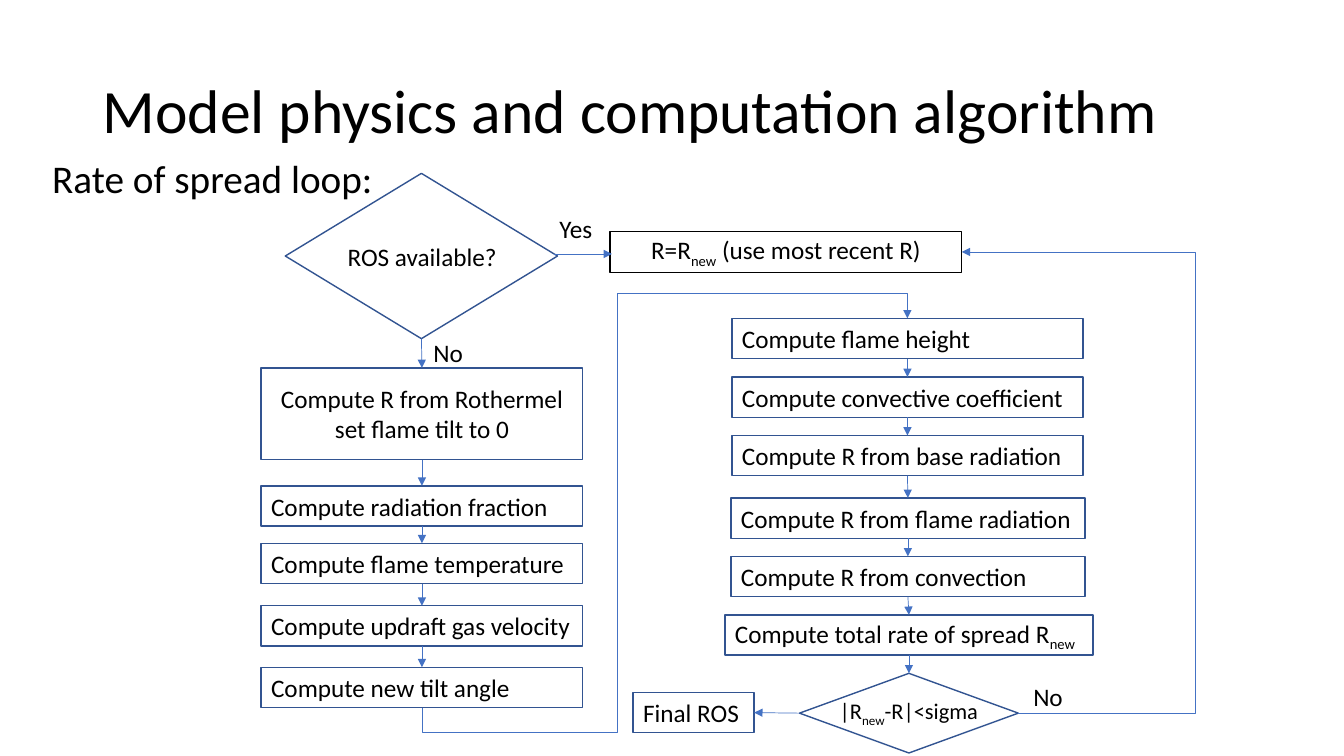
from lxml import etree
from pptx import Presentation
from pptx import util as u
from pptx.dml.color import RGBColor
from pptx.enum import shapes, text
from pptx.oxml.ns import qn

PX = 9144  # 100 px to the inch
FONT = "Calibri"
BLACK, NAVY, BLUE = "000000", "325491", "4472C4"
TOP, LEFT, BOTTOM, RIGHT = range(4)
ROW = 40  # height of a one-line step


def px(n):
    return u.Emu(int(n * PX))


def rgb(hex_color):
    return RGBColor.from_string(hex_color)


def write(sp, words, size=18, align=text.PP_ALIGN.LEFT, anchor=text.MSO_ANCHOR.MIDDLE):
    """Fill a shape with text; parts between underscores are subscripts."""
    tf = sp.text_frame
    tf.word_wrap = True
    tf.vertical_anchor = anchor
    p = tf.paragraphs[0]
    p.alignment = align
    for i, part in enumerate(words.split("_")):
        if not part:
            continue
        r = p.add_run()
        r.text = part
        r.font.size, r.font.name = u.Pt(size), FONT
        r.font.color.rgb = rgb(BLACK)
        if i % 2:
            r.font._element.set("baseline", "-25000")
    return p


def add_text(s, box, words, size, anchor=text.MSO_ANCHOR.TOP):
    sp = s.shapes.add_textbox(*map(px, box))
    write(sp, words, size, anchor=anchor).line_spacing = 0.9


def add_label(s, box, words, size=18):
    sp = s.shapes.add_textbox(*map(px, box))
    write(sp, words, size, anchor=text.MSO_ANCHOR.TOP)
    sp.text_frame.word_wrap = False
    sp.text_frame.auto_size = text.MSO_AUTO_SIZE.SHAPE_TO_FIT_TEXT


def add_node(s, kind, box, color=NAVY, weight=1):
    sp = s.shapes.add_shape(kind, *map(px, box))
    sp.shadow.inherit = False
    sp.fill.background()
    sp.line.color.rgb = rgb(color)
    sp.line.width = u.Pt(weight)
    return sp


def add_step(s, box, words, align=text.PP_ALIGN.LEFT, color=NAVY, weight=1):
    sp = add_node(s, shapes.MSO_SHAPE.RECTANGLE, box, color, weight)
    write(sp, words, align=align)
    return sp


def add_decision(s, box, label_box, words, size):
    sp = add_node(s, shapes.MSO_SHAPE.DIAMOND, box)
    add_label(s, label_box, words, size)
    return sp


def add_arrow(s, kind, x1, y1, x2, y2):
    c = s.shapes.add_connector(kind, px(x1), px(y1), px(x2), px(y2))
    c.line.color.rgb = rgb(BLUE)
    c.line.width = u.Pt(0.5)
    etree.SubElement(c.line._get_or_add_ln(), qn("a:tailEnd"), type="triangle")
    etree.SubElement(c._element.spPr, qn("a:effectLst"))
    return c


def join(s, start, start_side, end, end_side, kind=shapes.MSO_CONNECTOR.STRAIGHT):
    c = add_arrow(s, kind, 0, 0, 0, 0)
    c.begin_connect(start, start_side)
    c.end_connect(end, end_side)
    return c


def bend(c, preset, *adjustments):
    geom = c._element.spPr.find(qn("a:prstGeom"))
    geom.set("prst", preset)
    guides = geom.find(qn("a:avLst"))
    if guides is None:
        guides = etree.SubElement(geom, qn("a:avLst"))
    for i, value in enumerate(adjustments, 1):
        name = f"adj{i}" if len(adjustments) > 1 else "adj"
        name = "adj1" if preset == "bentConnector3" else name
        etree.SubElement(guides, qn("a:gd"), name=name, fmla=f"val {round(value * 100000)}")


def add_column(s, steps):
    """Place steps from top to bottom, each joined to the one above."""
    nodes = [add_step(s, *step) for step in steps]
    for upper, lower in zip(nodes, nodes[1:]):
        join(s, upper, BOTTOM, lower, TOP)
    return nodes


def add_heading(s):
    add_text(s, (92, 40, 1150, 145), "Model physics and computation algorithm", 44,
             text.MSO_ANCHOR.MIDDLE)
    add_text(s, (42, 153, 370, 476), "Rate of spread loop:", 28)


def add_start(s, x, y):
    """Opening decision and the box that its Yes branch leads to."""
    available = add_decision(s, (x, y, 270, 164), (x + 52, y + 62, 170, ROW),
                             "ROS available?", 18)
    add_label(s, (x + 137, y + 158, 50, ROW), "No")
    add_label(s, (x + 262, y + 35, 53, ROW), "Yes")
    recent = add_step(s, (x + 322, y + 58, 349, ROW), "R=R_new_ (use most recent R)",
                      text.PP_ALIGN.CENTER, BLACK, 0.75)
    add_arrow(s, shapes.MSO_CONNECTOR.STRAIGHT, x + 266, y + 80, x + 324, y + 80)
    return available, recent


def add_left_column(s, x, y, w):
    return add_column(s, [
        ((x, y, w, 91), "Compute R from Rothermel set flame tilt to 0", text.PP_ALIGN.CENTER),
        ((x, y + 117, w, ROW), "Compute radiation fraction"),
        ((x, y + 174, w, ROW), "Compute flame temperature"),
        ((x, y + 236, w, ROW), "Compute updraft gas velocity"),
        ((x, y + 297, w, ROW), "Compute new tilt angle"),
    ])


def add_right_column(s, x, y, w):
    return add_column(s, [
        ((x, y, w, ROW), "Compute flame height"),
        ((x, y + 58, w, ROW), "Compute convective coefficient"),
        ((x, y + 116, w, ROW), "Compute R from base radiation"),
        ((x - 1, y + 178, w + 3, ROW), "Compute R from flame radiation"),
        ((x - 1, y + 236, w + 3, ROW), "Compute R from convection"),
        ((x - 7, y + 294, w + 17, ROW), "Compute total rate of spread R_new_"),
    ])


def add_finish(s, x, y):
    """Convergence test with the final result on its left."""
    test = add_decision(s, (x, y, 217, 79), (x + 30, y + 19, 162, 37), "|R_new_-R|<sigma", 16)
    add_label(s, (x + 222, y + 3, 50, ROW), "No")
    final = add_step(s, (x - 165, y + 19, 120, ROW), "Final ROS")
    join(s, test, LEFT, final, RIGHT)
    return test


def add_bridge(s, last, first):
    """Route from the foot of the left column to the head of the right one."""
    c = join(s, last, BOTTOM, first, TOP, shapes.MSO_CONNECTOR.ELBOW)
    bend(c, "bentConnector5", -0.065, 0.402, 1.065)
    # A quarter turn swaps width and height about the same centre
    left, top, w, h = c.left, c.top, c.width, c.height
    c.left, c.top = left + (w - h) // 2, top + (h - w) // 2
    c.width, c.height = h, w
    xfrm = c._element.spPr.find(qn("a:xfrm"))
    for key, value in (("rot", "5400000"), ("flipH", "1"), ("flipV", "1")):
        xfrm.set(key, value)


def main():
    prs = Presentation()
    prs.slide_width, prs.slide_height = px(1333), px(750)
    s = prs.slides.add_slide(prs.slide_layouts[6])

    add_heading(s)
    available, recent = add_start(s, 283, 172)
    left = add_left_column(s, 259, 365, 319)
    right = add_right_column(s, 726, 316, 348)
    test = add_finish(s, 793, 668)

    # Links between the regions
    join(s, available, BOTTOM, left[0], TOP)
    join(s, right[-1], BOTTOM, test, TOP)
    add_bridge(s, left[-1], right[0])
    again = join(s, test, RIGHT, recent, RIGHT, shapes.MSO_CONNECTOR.ELBOW)
    bend(again, "bentConnector3", -3.146)

    prs.save("out.pptx")


if __name__ == "__main__":
    main()
